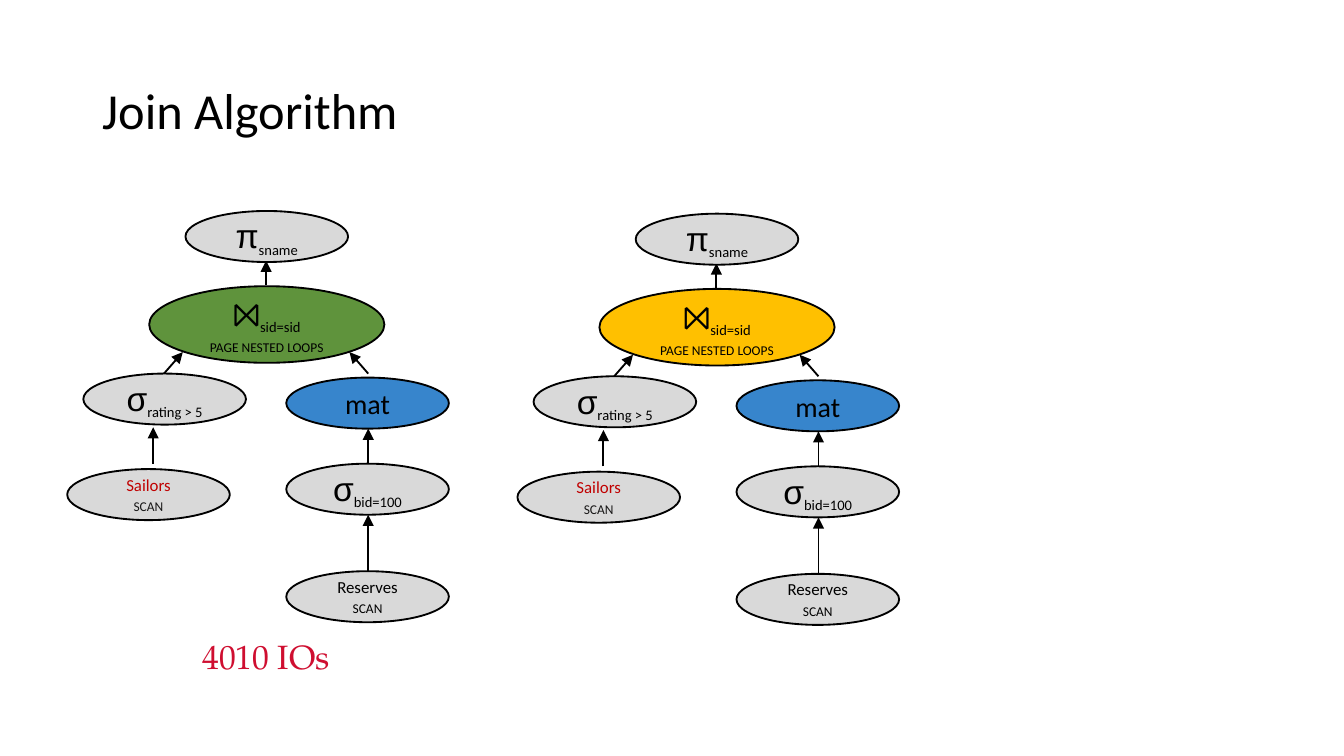
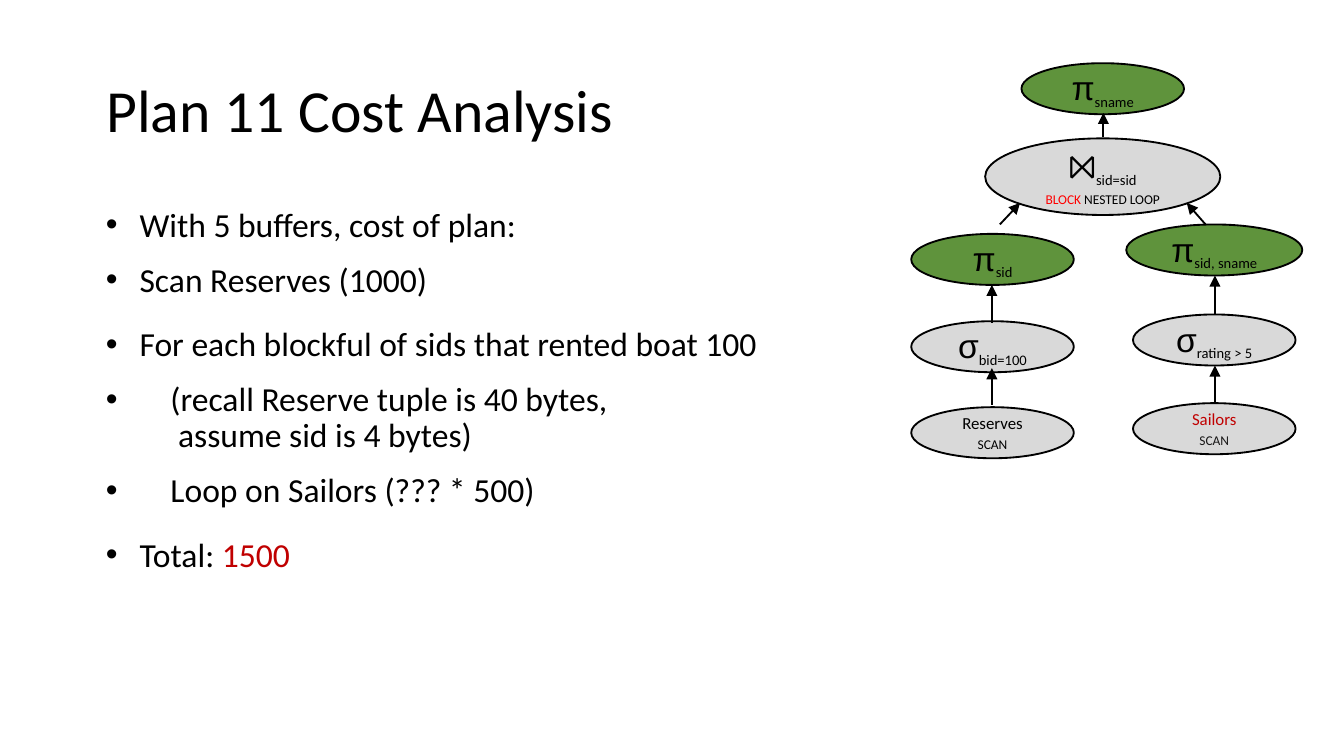
"""Build two slides on join algorithms and the cost of a query plan."""
from copy import deepcopy
from dataclasses import dataclass

from lxml import etree
from pptx import Presentation
from pptx import util as u
from pptx.dml.color import RGBColor
from pptx.enum import shapes, text
from pptx.oxml.ns import qn


@dataclass(frozen=True)
class Theme:
    """Colours, fonts and type sizes of the slides."""
    black: str = "000000"
    ink: str = "181717"
    gray: str = "D9D9D9"
    green: str = "5F933C"
    gold: str = "FFC000"
    blue: str = "3785CC"
    dark_red: str = "C00000"
    red: str = "FF0000"
    crimson: str = "CF0E30"
    body_font: str = "Calibri"
    symbol_font: str = "Arial"
    cost_font: str = "TeX Gyre Pagella"
    body_size: float = 18
    mat_size: float = 15
    subscript_size: float = 13.5
    label_size: float = 9


THEME = Theme()
SLIDE_WIDTH = 10
SLIDE_HEIGHT = SLIDE_WIDTH * 9 / 16
NODE_WIDTH, NODE_HEIGHT = 1.21, 0.38
JOIN_WIDTH, JOIN_HEIGHT = 1.75, 0.57


def write(paragraph, content, *, size=THEME.body_size, font=THEME.body_font,
          color=THEME.black, subscript=False, small_caps=False):
    """Add formatted text to a paragraph, with a line break at each newline."""
    for number, line in enumerate(content.split("\n")):
        if number:
            paragraph.add_line_break()
            paragraph._p[-1].append(deepcopy(properties))
        if line:
            run = paragraph.add_run()
            run.text = line
            run.font.size = u.Pt(size)
            run.font.name = font
            run.font.color.rgb = RGBColor.from_string(color)
            properties = run._r.get_or_add_rPr()
            if subscript:
                properties.set("baseline", "-25000")
            if small_caps:
                properties.set("cap", "small")


def set_frame(frame, inset_x=0.07, inset_y=0.04, anchor=text.MSO_ANCHOR.MIDDLE,
              wrap=True):
    """Set the margins, anchor and wrapping of a text frame."""
    frame.margin_left = frame.margin_right = u.Inches(inset_x)
    frame.margin_top = frame.margin_bottom = u.Inches(inset_y)
    frame.vertical_anchor = anchor
    frame.auto_size = text.MSO_AUTO_SIZE.NONE
    frame.word_wrap = wrap


def add_titled_slide(presentation, title, size, inset_x, inset_y):
    """Add a title-only slide and format its title."""
    slide = presentation.slides.add_slide(presentation.slide_layouts[5])
    shape = slide.shapes.title
    shape.left, shape.top = u.Inches(0.69), u.Inches(0.3)
    shape.width, shape.height = u.Inches(8.62), u.Inches(1.09)
    set_frame(shape.text_frame, inset_x, inset_y)
    paragraph = shape.text_frame.paragraphs[0]
    paragraph.alignment = text.PP_ALIGN.LEFT
    paragraph.line_spacing = 0.9
    write(paragraph, title, size=size)
    return slide


def add_text_box(slide, left, top, width, height, **frame_format):
    """Add a text box and return its text frame."""
    shape = slide.shapes.add_textbox(*map(u.Inches, (left, top, width, height)))
    set_frame(shape.text_frame, 0.1, 0.05, **frame_format)
    return shape.text_frame


def add_node(slide, left, top, lines, fill=THEME.gray, width=NODE_WIDTH,
             height=NODE_HEIGHT):
    """Add a plan node: an ellipse with centred lines of formatted runs."""
    shape = slide.shapes.add_shape(
        shapes.MSO_SHAPE.OVAL, *map(u.Inches, (left, top, width, height)))
    shape.shadow.inherit = False
    shape.fill.solid()
    shape.fill.fore_color.rgb = RGBColor.from_string(fill)
    shape.line.color.rgb = RGBColor.from_string(THEME.black)
    shape.line.width = u.Pt(1)
    frame = shape.text_frame
    set_frame(frame)
    for number, runs in enumerate(lines):
        paragraph = frame.add_paragraph() if number else frame.paragraphs[0]
        paragraph.alignment = text.PP_ALIGN.CENTER
        for content, run_format in runs:
            write(paragraph, content, **run_format)


def operator_runs(symbol, subscript):
    """Return the runs of an operator symbol with its subscript."""
    return [(symbol, dict(font=THEME.symbol_font)),
            (subscript, dict(size=THEME.subscript_size, subscript=True))]


def add_operator(slide, left, top, symbol, subscript, **node_format):
    """Add a node for a relational operator."""
    add_node(slide, left, top, [operator_runs(symbol, subscript)], **node_format)


def add_join(slide, left, top, method, fill=THEME.gray):
    """Add the large join node; method holds (words, colour) pairs."""
    runs = operator_runs("⨝", "sid=sid\n")
    runs += [(words, dict(size=THEME.label_size, color=color, small_caps=True))
             for words, color in method]
    add_node(slide, left, top, [runs], fill, JOIN_WIDTH, JOIN_HEIGHT)


def add_scan(slide, left, top, table, color=THEME.black, scan_color=THEME.black):
    """Add a node that scans a table."""
    size = THEME.label_size
    add_node(slide, left, top, [
        [(table, dict(size=size, color=color))],
        [("scan", dict(size=size, color=scan_color, small_caps=True))]])


def add_sailors(slide, left, top):
    """Add the scan of the Sailors table."""
    add_scan(slide, left, top, "Sailors", THEME.dark_red, THEME.ink)


def add_arrow(slide, *ends):
    """Add an arrow from the first point to the second."""
    connector = slide.shapes.add_connector(
        shapes.MSO_CONNECTOR.STRAIGHT, *map(u.Inches, ends))
    connector.line.color.rgb = RGBColor.from_string(THEME.black)
    connector.line.width = u.Pt(1)
    properties = connector._element.spPr
    etree.SubElement(properties.find(qn("a:ln")), qn("a:tailEnd"), type="triangle")
    etree.SubElement(properties, qn("a:effectLst"))


def add_bullet(frame, runs, text_indent=0.25, space_before=10):
    """Add a bulleted paragraph made of (text, colour) runs."""
    first = frame.paragraphs[0]
    is_first = not first.runs
    paragraph = first if is_first else frame.add_paragraph()
    properties = paragraph._p.get_or_add_pPr()
    indent = u.Inches(text_indent)
    properties.set("marL", str(indent))
    properties.set("indent", str(-indent))
    etree.SubElement(properties, qn("a:buFont"), typeface=THEME.symbol_font)
    etree.SubElement(properties, qn("a:buChar"), char="•")
    paragraph.line_spacing = 0.9
    paragraph.space_before = u.Pt(0 if is_first else space_before)
    for content, color in runs:
        write(paragraph, content, color=color)


def add_materialized_plan(slide, x, y, join_fill):
    """Add the plan that materializes its right input, shifted by x and y."""
    for x1, y1, x2, y2 in [(2.74, 4.3, 2.74, 3.83), (1.14, 3.45, 1.14, 3.18),
                           (2.74, 2.78, 2.6, 2.62), (1.22, 2.78, 1.36, 2.62),
                           (1.98, 2.12, 1.98, 1.94), (2.74, 3.45, 2.74, 3.19)]:
        add_arrow(slide, x + x1, y + y1, x + x2, y + y2)
    add_operator(slide, x + 1.38, y + 1.57, "π", "sname")
    add_join(slide, x + 1.11, y + 2.13, [("page nested loops", THEME.black)],
             join_fill)
    add_operator(slide, x + 0.62, y + 2.78, "σ", "rating > 5")
    add_sailors(slide, x + 0.5, y + 3.49)
    add_node(slide, x + 2.13, y + 2.81, [[("mat", dict(size=THEME.mat_size))]],
             THEME.blue)
    add_operator(slide, x + 2.13, y + 3.45, "σ", "bid=100")
    add_scan(slide, x + 2.13, y + 4.25, "Reserves")


def add_projected_plan(slide):
    """Add the plan that projects both inputs before the join."""
    add_operator(slide, 7.6, 0.47, "π", "sname", fill=THEME.green)
    add_join(slide, 7.33, 1.03,
             [("block", THEME.red), (" nested loop", THEME.black)])
    add_operator(slide, 6.78, 1.74, "π", "sid", fill=THEME.green)
    add_operator(slide, 6.78, 2.39, "σ", "bid=100")
    add_scan(slide, 6.78, 3.03, "Reserves")
    add_operator(slide, 8.38, 1.67, "π", "sid, sname", fill=THEME.green, width=1.31)
    add_operator(slide, 8.43, 2.34, "σ", "rating > 5")
    add_sailors(slide, 8.43, 3)
    for ends in [(8.21, 1.02, 8.21, 0.84), (7.44, 1.67, 7.59, 1.51),
                 (8.97, 1.67, 8.83, 1.51), (7.38, 2.4, 7.38, 2.12),
                 (7.38, 3.01, 7.38, 2.74), (9.04, 2.34, 9.04, 2.05),
                 (9.04, 3, 9.04, 2.72)]:
        add_arrow(slide, *ends)


def build_join_slide(presentation):
    """Build the slide that compares two join plans."""
    slide = add_titled_slide(presentation, "Join Algorithm", 27, 0.07, 0.04)
    frame = add_text_box(slide, 1.2, 4.69, 1.56, 0.38, wrap=False)
    paragraph = frame.paragraphs[0]
    paragraph.alignment = text.PP_ALIGN.CENTER
    write(paragraph, "4010 IOs", font=THEME.cost_font, color=THEME.crimson)
    add_materialized_plan(slide, 0, 0, THEME.green)
    add_materialized_plan(slide, 3.35, 0.02, THEME.gold)


def build_cost_slide(presentation):
    """Build the slide that works out the cost of plan 11."""
    slide = add_titled_slide(presentation, "Plan 11 Cost Analysis", 32, 0.1, 0.05)
    frame = add_text_box(slide, 0.69, 1.5, 8.62, 3.57, anchor=text.MSO_ANCHOR.TOP)
    black = THEME.black
    add_bullet(frame, [("With 5 buffers, cost of plan:", black)])
    add_bullet(frame, [("Scan Reserves (1000)", black)])
    add_bullet(frame, [("For each blockful of sids that rented boat 100", black)],
               space_before=15)
    add_bullet(frame, [("(recall Reserve tuple is 40 bytes,\n"
                        " assume sid is 4 bytes)", black)], text_indent=0.48)
    add_bullet(frame, [("Loop on Sailors (??? * 500)", black)], text_indent=0.48)
    add_bullet(frame, [("Total: ", black), ("1500", THEME.dark_red)],
               space_before=15)
    add_projected_plan(slide)


def main():
    """Build and save the presentation."""
    presentation = Presentation()
    presentation.slide_width = u.Inches(SLIDE_WIDTH)
    presentation.slide_height = u.Inches(SLIDE_HEIGHT)
    build_join_slide(presentation)
    build_cost_slide(presentation)
    presentation.save("out.pptx")


if __name__ == "__main__":
    main()
